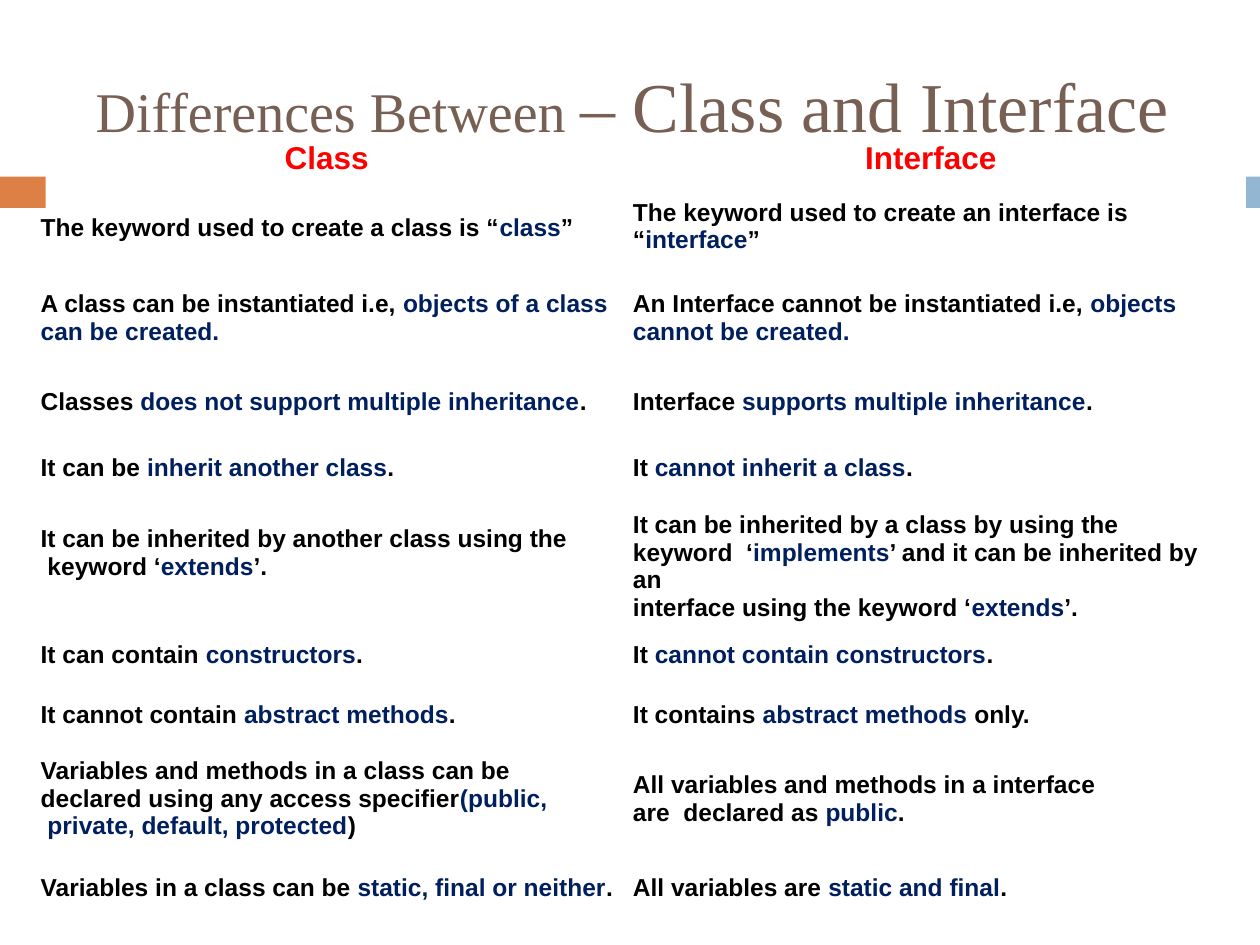
from pptx import Presentation
from pptx.dml.color import RGBColor
from pptx.enum.shapes import MSO_SHAPE
from pptx.enum.text import PP_ALIGN
from pptx.oxml.ns import qn
from pptx.util import Cm, Pt

RECTANGLE = MSO_SHAPE.RECTANGLE
LEFT, CENTER = PP_ALIGN.LEFT, PP_ALIGN.CENTER
NO_STYLE_NO_GRID = "{2D5ABB26-0587-4C30-8999-92F81FD0307C}"

COLORS = {
    "title": "775F54", "header": "FF0000", "body": "000000",
    "accent": "001F5F", "orange": "DD8046", "blue": "93B6D2",
}

# Asterisks enclose accented words, \n starts a paragraph, \v breaks a line.
TITLE = [("Differences Between ", 32), ("– Class and Interface", 40)]
HEADERS = ("Class", "Interface")
# Row height, top margin of each cell (cm), text of each cell
ROWS = [
    (1.75, (0.5, 0.2),
     ("The keyword used to create a class is “*class*”",
      "The keyword used to create an interface is\n“*interface*”")),
    (1.91, (0.3, 0.3),
     ("A class can be instantiated i.e, *objects of a class*\n*can be created.*",
      "An Interface cannot be instantiated i.e, *objects*\n*cannot be created.*")),
    (1.35, (0.36, 0.36),
     ("Classes *does not support multiple inheritance*.",
      "Interface *supports multiple inheritance*.")),
    (1.24, (0.33, 0.33),
     ("It can be *inherit another class*.",
      "It *cannot inherit a class*.")),
    (2.36, (0.53, 0.25),
     ("It can be inherited by another class using the\v keyword ‘*extends*’.",
      "It can be inherited by a class by using the keyword  ‘*implements*’ and "
      "it can be inherited by an\ninterface using the keyword ‘*extends*’.")),
    (1.17, (0.25, 0.25),
     ("It can contain *constructors*.",
      "It *cannot contain constructors*.")),
    (1.17, (0.28, 0.28),
     ("It cannot contain *abstract methods*.",
      "It contains *abstract methods* only.")),
    (2.36, (0.25, 0.53),
     ("Variables and methods in a class can be\vdeclared using any access "
      "specifier*(public,\v private, default, protected*)",
      "All variables and methods in a interface\vare  declared as *public*.")),
    (0.86, (0.25, 0.25),
     ("Variables in a class can be *static, final or neither*.",
      "All variables are *static and final*.")),
]
HEADER_HEIGHT = 0.97
COLUMN_WIDTHS = (12.07, 12.47)
LEFT_MARGINS = (0.36, 0.23)
RIGHT_MARGINS = (0, 0.5)
HEADER_MARGINS = (0.18, 0)
TABLE_LEFT, TABLE_TOP = 0.46, 2.84
SIDE_BLOCKS = [(0, 0.92, "orange"), (25.12, 0.28, "blue")]


def color(name):
    return RGBColor.from_string(COLORS[name])


def add_text(para, text, size=14, font="Arial", tone="body", bold=True):
    """Add text to a paragraph, accenting the words between asterisks."""
    for index, part in enumerate(text.split("*")):
        for number, line in enumerate(part.split("\v")):
            if number:
                para.add_line_break()
            if line:
                span = para.add_run()
                span.text = line
                span.font.size = Pt(size)
                span.font.name = font
                span.font.bold = bold
                span.font.color.rgb = color("accent" if index % 2 else tone)


def fill_cell(cell, text, left=0, top=0, right=0, align=LEFT, spacing=None, **style):
    cell.fill.background()
    cell.margin_left, cell.margin_top = Cm(left), Cm(top)
    cell.margin_right, cell.margin_bottom = Cm(right), 0
    frame = cell.text_frame
    for index, line in enumerate(text.split("\n")):
        para = frame.add_paragraph() if index else frame.paragraphs[0]
        para.alignment = align
        if spacing:
            para.line_spacing = Pt(spacing)
        add_text(para, line, **style)


def add_side_blocks(slide):
    for left, width, tone in SIDE_BLOCKS:
        block = slide.shapes.add_shape(RECTANGLE, Cm(left), Cm(3.56), Cm(width), Cm(0.63))
        block.shadow.inherit = False
        block.fill.solid()
        block.fill.fore_color.rgb = color(tone)
        block.line.fill.background()


def add_title(slide):
    box = slide.shapes.add_textbox(Cm(1.93), Cm(1.09), Cm(21.82), Cm(1.75))
    frame = box.text_frame
    frame.word_wrap = True
    frame.margin_left = frame.margin_right = frame.margin_bottom = 0
    frame.margin_top = Cm(0.18)
    for text, size in TITLE:
        add_text(frame.paragraphs[0], text, size=size, font="Times New Roman",
                 tone="title", bold=False)


def add_comparison(slide):
    heights = [HEADER_HEIGHT] + [height for height, _, _ in ROWS]
    table = slide.shapes.add_table(
        len(heights), len(COLUMN_WIDTHS), Cm(TABLE_LEFT), Cm(TABLE_TOP),
        Cm(sum(COLUMN_WIDTHS)), Cm(sum(heights))).table
    table.first_row = table.horz_banding = False
    table._tbl.tblPr.find(qn("a:tableStyleId")).text = NO_STYLE_NO_GRID
    for row, height in zip(table.rows, heights):
        row.height = Cm(height)
    for index, width in enumerate(COLUMN_WIDTHS):
        table.columns[index].width = Cm(width)
        fill_cell(table.cell(0, index), HEADERS[index], left=HEADER_MARGINS[index],
                  align=CENTER, spacing=19.9, size=18, tone="header")
        for number, (_, tops, texts) in enumerate(ROWS, start=1):
            fill_cell(table.cell(number, index), texts[index], left=LEFT_MARGINS[index],
                      top=tops[index], right=RIGHT_MARGINS[index])


def main():
    deck = Presentation()
    deck.slide_width, deck.slide_height = Cm(25.4), Cm(19.05)
    slide = deck.slides.add_slide(deck.slide_layouts[6])
    add_side_blocks(slide)
    add_title(slide)
    add_comparison(slide)
    deck.save("out.pptx")


if __name__ == "__main__":
    main()
